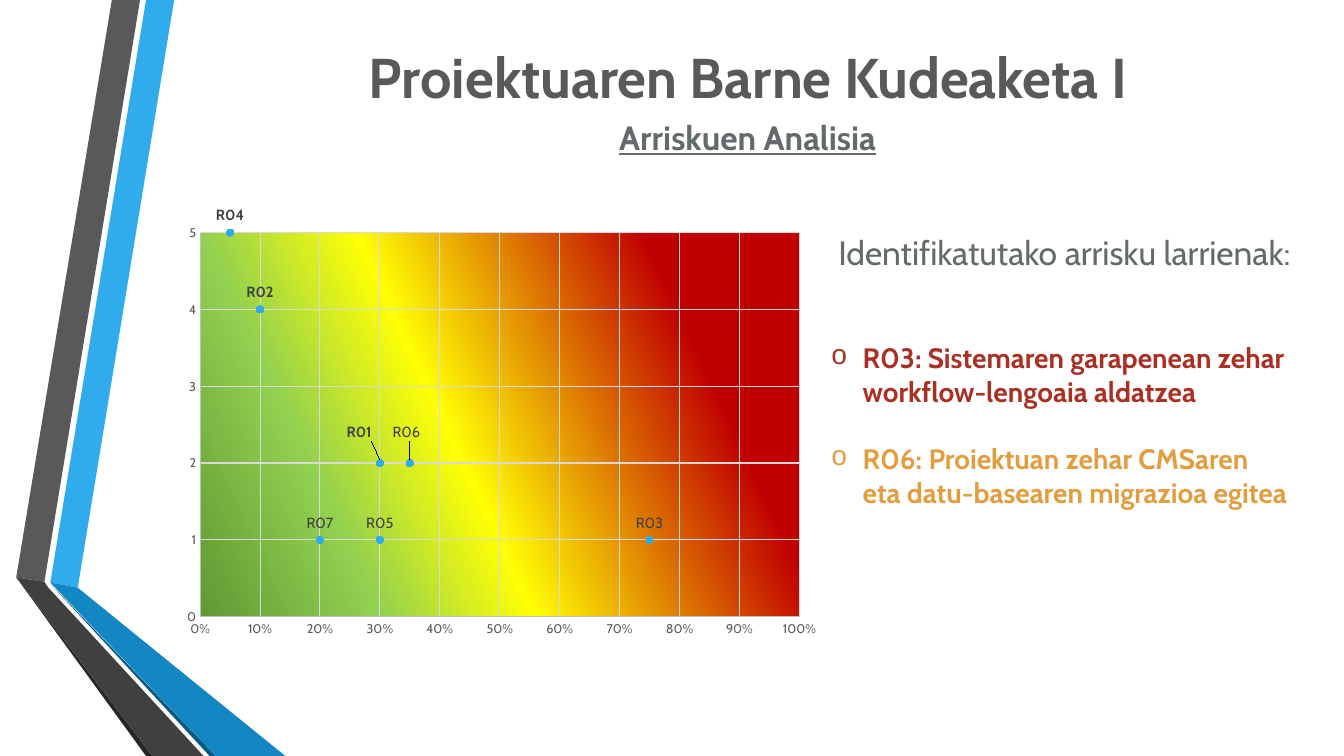
from lxml.etree import SubElement
from pptx import Presentation
from pptx.chart.data import XyChartData
from pptx.dml.color import RGBColor
from pptx.enum.chart import XL_CHART_TYPE, XL_LABEL_POSITION, XL_MARKER_STYLE, XL_TICK_MARK
from pptx.enum.text import MSO_ANCHOR, PP_ALIGN
from pptx.oxml import parse_xml
from pptx.oxml.ns import nsdecls, qn
from pptx.util import Cm, Pt

FONT = "Cabin"
GRAY, SLATE, SKY = "595959", "636A6C", "30ACEC"
BANDS = [
    (SKY, [(1.27, 14.68), (1.96, 14.81), (4.39, 0), (3.68, 0)]),
    (GRAY, [(3.53, 0), (2.82, 0), (0.41, 14.55), (1.12, 14.66)]),
    ("262626", [(0.41, 14.55), (3.68, 19.05), (3.84, 19.05)]),
    ("0C5A82", [(1.27, 14.71), (5.28, 19.05), (5.44, 19.05)]),
    ("1287C3", [(1.27, 14.68), (5.44, 19.05), (7.19, 19.05), (1.96, 14.81)]),
    ("404040", [(5.13, 19.05), (1.22, 14.81), (1.12, 14.66), (0.41, 14.55), (3.84, 19.05)]),
]
RISKS = [
    ("R01", 0.3, 2, True, (-0.03, -0.03)),
    ("R02", 0.1, 4, True, None),
    ("R03", 0.75, 1, False, None),
    ("R04", 0.05, 5, True, None),
    ("R05", 0.3, 1, False, None),
    ("R06", 0.35, 2, False, (-0.005, -0.03)),
    ("R07", 0.2, 1, False, None),
]
HEAT = [(20, "C00000"), (57, "FFFF05"), (77, "92D050"), (100, "5F9934")]
WORST = [
    ("R03: Sistemaren garapenean zehar workflow-lengoaia aldatzea", "A93023"),
    ("R06: Proiektuan zehar CMSaren eta datu-basearen migrazioa egitea", "E29D3E"),
]
LEADER = (
    f'<c:extLst {nsdecls("c")}><c:ext uri="{{CE6537A1-D6FC-4f65-9D91-7224C49458BB}}" '
    'xmlns:c15="http://schemas.microsoft.com/office/drawing/2012/chart">'
    '<c15:showLeaderLines val="0"/></c:ext></c:extLst>')


def color(code):
    return RGBColor.from_string(code)


def place(head="", **parts):
    spots = "".join(f'<c:{k} val="{v}"/>' for k, v in parts.items())
    return parse_xml(f'<c:layout {nsdecls("c")}><c:manualLayout>{head}{spots}'
                     '</c:manualLayout></c:layout>')


def move(node, spot, layout):
    for old in node.findall(qn("c:layout")):
        node.remove(old)
    node.insert(spot, layout)


class Deck:
    def __init__(self):
        self.show = Presentation()
        self.show.slide_width, self.show.slide_height = Cm(33.87), Cm(19.05)
        self.slide = self.show.slides.add_slide(self.show.slide_layouts[6])

    def style(self, font, size, code, bold=False):
        font.name, font.size, font.bold = FONT, Pt(size), bold
        font.color.rgb = color(code)

    def band(self, code, points):
        spots = [(Cm(x), Cm(y)) for x, y in points]
        pen = self.slide.shapes.build_freeform(*spots[0])
        pen.add_line_segments(spots[1:])
        shape = pen.convert_to_shape()
        shape.shadow.inherit = False
        shape.fill.solid()
        shape.fill.fore_color.rgb = color(code)
        shape.line.fill.background()

    def box(self, spot, anchor):
        frame = self.slide.shapes.add_textbox(*map(Cm, spot)).text_frame
        frame.word_wrap = True
        frame.vertical_anchor = anchor
        return frame

    def head(self, spot, text, size, code, bold=False, under=False):
        para = self.box(spot, MSO_ANCHOR.MIDDLE).paragraphs[0]
        para.text = text
        para.alignment = PP_ALIGN.CENTER
        self.style(para.font, size, code, bold)
        para.font.underline = under

    def points(self, spot, items):
        frame = self.box(spot, MSO_ANCHOR.TOP)
        for i, (text, code) in enumerate(items):
            para = frame.add_paragraph() if i else frame.paragraphs[0]
            para.text = text
            if i:
                para.space_before = Pt(24)
            props = para._p.get_or_add_pPr()
            props.set("marL", str(Cm(0.8)))
            props.set("indent", str(-Cm(0.8)))
            SubElement(props, qn("a:buFont")).set("typeface", "Courier New")
            SubElement(props, qn("a:buChar")).set("char", "o")
            self.style(para.font, 20, code, True)

    def axis(self, axis, top, step, form):
        axis.minimum_scale, axis.maximum_scale, axis.major_unit = 0, top, step
        axis.major_tick_mark = axis.minor_tick_mark = XL_TICK_MARK.NONE
        axis.has_major_gridlines = True
        for line, code in ((axis.format.line, "BFBFBF"),
                           (axis.major_gridlines.format.line, "D9D9D9")):
            line.width = Pt(0.75)
            line.color.rgb = color(code)
        labels = axis.tick_labels
        labels.number_format, labels.number_format_is_linked = form, False
        self.style(labels.font, 9, GRAY)

    def label(self, point, name, bold):
        label = point.data_label
        run = label.text_frame.paragraphs[0].add_run()
        run.text = name
        self.style(run.font, 10.5, "404040", bold)
        label.position = XL_LABEL_POSITION.ABOVE

    def chart(self, spot, risks):
        data = XyChartData()
        marks = data.add_series("Series 1")
        for name, x, y, bold, shift in risks:
            marks.add_data_point(x, y)
        chart = self.slide.shapes.add_chart(
            XL_CHART_TYPE.XY_SCATTER, *map(Cm, spot), data).chart
        chart.has_legend = chart.has_title = False
        self.style(chart.font, 10, "000000")
        self.axis(chart.category_axis, 1, 0.1, "0%")
        self.axis(chart.value_axis, 5, 1, "0")
        plot = chart.plots[0]
        plot.vary_by_categories = False
        series = plot.series[0]
        series.format.line.fill.background()
        series.marker.style, series.marker.size = XL_MARKER_STYLE.CIRCLE, 5
        series.marker.format.fill.solid()
        series.marker.format.fill.fore_color.rgb = color(SKY)
        series.marker.format.line.color.rgb = color(SKY)
        for i, (name, x, y, bold, shift) in enumerate(risks):
            self.label(series.points[i], name, bold)
        for node, risk in zip(chart.element.xpath(".//c:dLbl"), risks):
            if risk[4]:
                move(node, 1, place(x=risk[4][0], y=risk[4][1]))
        chart.element.xpath(".//c:ser/c:dLbls")[0].append(parse_xml(LEADER))
        self.heat(chart.element.xpath(".//c:plotArea")[0])

    def heat(self, area):
        head = ('<c:layoutTarget val="inner"/><c:xMode val="edge"/>'
                '<c:yMode val="edge"/>')
        move(area, 0, place(head, x=0.068, y=0.102, w=0.868, h=0.814))
        stops = "".join(f'<a:gs pos="{at * 1000}"><a:srgbClr val="{code}"/></a:gs>'
                        for at, code in HEAT)
        area.append(parse_xml(
            f'<c:spPr {nsdecls("c", "a")}><a:gradFill><a:gsLst>{stops}</a:gsLst>'
            f'<a:lin ang="{155 * 60000}" scaled="0"/></a:gradFill></c:spPr>'))


def main():
    deck = Deck()
    for code, points in BANDS:
        deck.band(code, points)
    deck.head((4.98, 0.16, 27.74, 3.5), "Proiektuaren Barne Kudeaketa I", 40, GRAY, bold=True)
    deck.head((15.07, 2.2, 7.54, 2.5), "Arriskuen Analisia", 24, SLATE, bold=True, under=True)
    deck.chart((3.86, 4.65, 17.4, 11.89), RISKS)
    deck.head((20.45, 4.68, 12.75, 3.33), "Identifikatutako arrisku larrienak:", 24, SLATE)
    deck.points((20.69, 8.46, 12.12, 6.07), WORST)
    deck.show.save("out.pptx")


if __name__ == "__main__":
    main()
